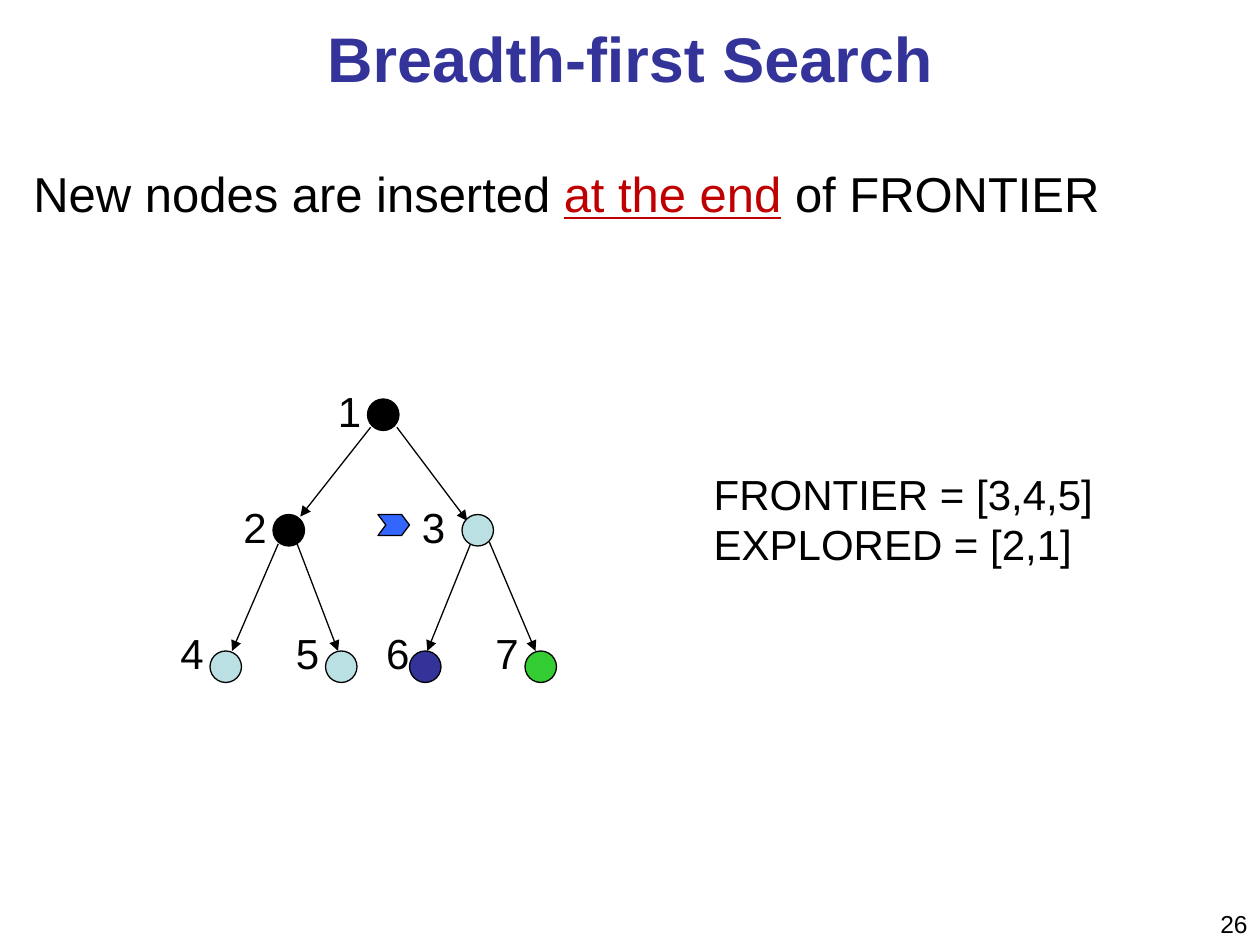
from pptx import Presentation
from pptx.dml.color import RGBColor
from pptx.enum.shapes import MSO_CONNECTOR, MSO_SHAPE
from pptx.enum.text import MSO_ANCHOR, PP_ALIGN
from pptx.oxml.ns import qn
from pptx.util import Inches, Pt
from lxml.etree import SubElement

theme = {
    "font": "Arial",
    "title": 36, "body": 28, "label": 24, "page": 14, "line": 0.75,
    "black": RGBColor(0, 0, 0),
    "navy": RGBColor(0x33, 0x33, 0x99),
    "red": RGBColor(0xC0, 0, 0),
    "blue": RGBColor(0x33, 0x66, 0xFF),
    "pale": RGBColor(0xBB, 0xE0, 0xE3),
    "green": RGBColor(0x33, 0xCC, 0x33),
}

deck = Presentation()
deck.slide_width, deck.slide_height = Inches(10), Inches(7.5)
slide = deck.slides.add_slide(deck.slide_layouts[5])
shapes = slide.shapes
unit = deck.slide_width / 120


def write(left, top, width, height, lines, size, align=PP_ALIGN.LEFT, wrap=False):
    box = shapes.add_textbox(*(int(n * unit) for n in (left, top, width, height)))
    frame = box.text_frame
    frame.text = "\n".join(lines)
    frame.word_wrap = wrap
    for para in frame.paragraphs:
        para.alignment = align
        for run in para.runs:
            run.font.name = theme["font"]
            run.font.size = Pt(theme[size])
            run.font.color.rgb = theme["black"]
    return frame


def draw(kind, left, top, width, height, color):
    shape = shapes.add_shape(kind, *(int(n * unit) for n in (left, top, width, height)))
    shape.shadow.inherit = False
    shape.fill.solid()
    shape.fill.fore_color.rgb = theme[color]
    shape.line.color.rgb = theme["black"]
    shape.line.width = Pt(theme["line"])
    return shape


title = shapes.title
title.left, title.top = int(2 * unit), 0
title.width, title.height = int(116 * unit), int(11 * unit)
frame = title.text_frame
frame.text = "Breadth-first Search"
frame.vertical_anchor = MSO_ANCHOR.MIDDLE
frame.paragraphs[0].alignment = PP_ALIGN.CENTER
font = frame.paragraphs[0].runs[0].font
font.name, font.size, font.bold = theme["font"], Pt(theme["title"]), True
font.color.rgb = theme["navy"]

body = write(2, 15, 116, 70, ["New nodes are inserted "], "body", PP_ALIGN.JUSTIFY, True)
para = body.paragraphs[0]
for text, color, under in [("at the end", "red", True), (" of FRONTIER", "black", False)]:
    run = para.add_run()
    run.text = text
    run.font.name, run.font.size = theme["font"], Pt(theme["body"])
    run.font.color.rgb = theme[color]
    run.font.underline = under

edges = [
    (35.3, 40.7, 28.6, 49.2), (37.8, 40.7, 44.5, 49.6),
    (26.5, 51.8, 22.1, 62), (28.3, 51.8, 32.2, 62),
    (44.9, 51.6, 40.7, 62), (46.6, 51.6, 51, 62),
]
for edge in edges:
    arrow = shapes.add_connector(MSO_CONNECTOR.STRAIGHT, *(int(n * unit) for n in edge))
    arrow.line.color.rgb = theme["black"]
    arrow.line.width = Pt(theme["line"])
    SubElement(arrow.line._get_or_add_ln(), qn("a:tailEnd"), type="triangle")
    SubElement(arrow._element.spPr, qn("a:effectLst"))

nodes = [
    ("1", 35, 38, 31, 36.1, "black"),
    ("2", 26, 49, 22, 47.2, "black"),
    ("3", 44, 49, 39, 47.2, "pale"),
    ("4", 20, 62, 16, 59.2, "pale"),
    ("5", 31, 62, 27, 59.2, "pale"),
    ("6", 39, 62, 35.6, 59.2, "navy"),
    ("7", 50, 62, 46, 59.2, "green"),
]
for name, left, top, side, high, color in nodes:
    write(side, high, 4.8, 6, [name], "label")
    draw(MSO_SHAPE.OVAL, left, top, 3, 3, color)

mark = draw(MSO_SHAPE.CHEVRON, 36, 49, 3, 2, "blue")
mark.adjustments[0] = 0.375

write(66.8, 44, 38.9, 10.9, ["FRONTIER = [3,4,5]", "EXPLORED = [2,1]"], "label")
write(114, 86, 6, 4, ["26"], "page", PP_ALIGN.RIGHT, True)

deck.save("out.pptx")
